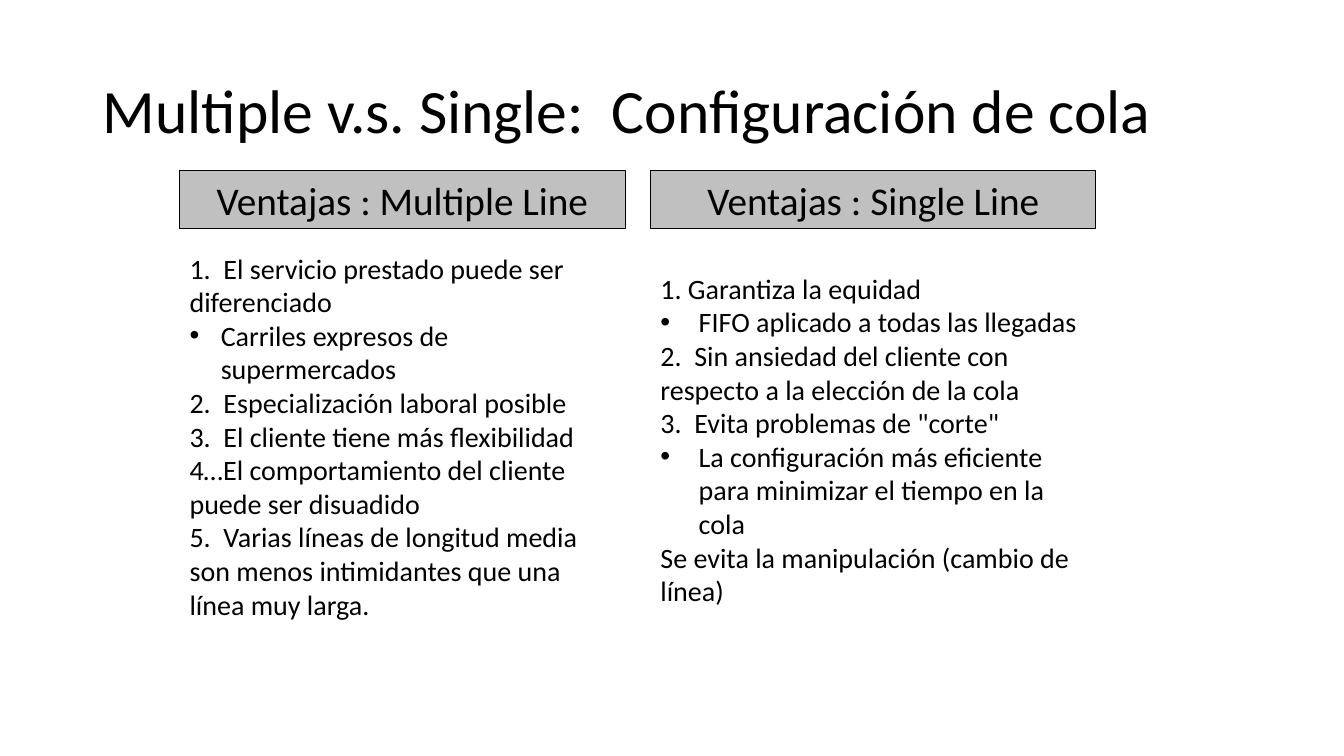
from dataclasses import dataclass

from lxml import etree
from pptx import Presentation
from pptx import util as u
from pptx.dml.color import RGBColor
from pptx.enum import shapes, text
from pptx.oxml.ns import qn

HUES = {"ink": "000000", "head": "C0C0C0"}
FONT = "Calibri"
WIDTH = 4.42


@dataclass
class Item:
    words: str
    dot: bool = False


@dataclass
class Column:
    left: float
    head: str
    top: float
    height: float
    indent: float
    items: list[Item]


COLUMNS = [
    Column(1.78, "Ventajas : Multiple Line", 2.44, 3.8, 0.31, [
        Item("1.  El servicio prestado puede ser diferenciado"),
        Item("Carriles expresos de supermercados", True),
        Item("2.  Especialización laboral posible"),
        Item("3.  El cliente tiene más flexibilidad"),
        Item("4…El comportamiento del cliente puede ser disuadido"),
        Item("5.  Varias líneas de longitud media son menos "
             "intimidantes que una línea muy larga."),
    ]),
    Column(6.45, "Ventajas : Single Line", 2.64, 3.47, 0.38, [
        Item("1. Garantiza la equidad"),
        Item("FIFO aplicado a todas las llegadas", True),
        Item("2.  Sin ansiedad del cliente con respecto a la elección de la cola"),
        Item('3.  Evita problemas de "corte"'),
        Item("La configuración más eficiente para minimizar el tiempo en la cola", True),
        Item("Se evita la manipulación (cambio de línea)"),
    ]),
]


def color(name: str) -> RGBColor:
    return RGBColor.from_string(HUES[name])


def place(shape, left: float, top: float, width: float, height: float) -> None:
    shape.left, shape.top = u.Inches(left), u.Inches(top)
    shape.width, shape.height = u.Inches(width), u.Inches(height)


def write(para, words: str, *, size: int, align=text.PP_ALIGN.LEFT,
          space: float = 1.0) -> None:
    para.alignment = align
    para.line_spacing = space
    para.space_before = para.space_after = u.Pt(0)
    run = para.add_run()
    run.text = words
    run.font.size = u.Pt(size)
    run.font.name = FONT
    run.font.color.rgb = color("ink")


def mark(para, dot: bool, indent: float) -> None:
    props = para._p.get_or_add_pPr()
    gap = u.Inches(indent) if dot else 0
    props.set("marL", str(gap))
    props.set("indent", str(-gap))
    if dot:
        etree.SubElement(props, qn("a:buFont")).set("typeface", "Arial")
        etree.SubElement(props, qn("a:buChar")).set("char", "•")
    else:
        etree.SubElement(props, qn("a:buNone"))


def banner(slide, col: Column) -> None:
    box = slide.shapes.add_shape(
        shapes.MSO_SHAPE.RECTANGLE, u.Inches(col.left), u.Inches(1.69),
        u.Inches(WIDTH), u.Inches(0.58))
    box.shadow.inherit = False
    box.fill.solid()
    box.fill.fore_color.rgb = color("head")
    box.line.color.rgb = color("ink")
    box.line.width = u.Pt(0.75)
    write(box.text_frame.paragraphs[0], col.head, size=28,
          align=text.PP_ALIGN.CENTER)


def fill(body, col: Column) -> None:
    place(body, col.left, col.top, WIDTH, col.height)
    frame = body.text_frame
    frame.word_wrap = True
    frame.auto_size = text.MSO_AUTO_SIZE.NONE
    frame.vertical_anchor = text.MSO_ANCHOR.TOP
    for i, item in enumerate(col.items):
        para = frame.add_paragraph() if i else frame.paragraphs[0]
        write(para, item.words, size=20)
        mark(para, item.dot, col.indent)


def main() -> None:
    deck = Presentation()
    deck.slide_width, deck.slide_height = u.Inches(13.33), u.Inches(7.5)
    slide = deck.slides.add_slide(deck.slide_layouts.get_by_name("Two Content"))
    title, *bodies = slide.placeholders
    place(title, 0.92, 0.4, 11.5, 1.45)
    title.text_frame.auto_size = text.MSO_AUTO_SIZE.NONE
    title.text_frame.vertical_anchor = text.MSO_ANCHOR.MIDDLE
    write(title.text_frame.paragraphs[0],
          "Multiple v.s. Single:  Configuración de cola", size=44, space=0.9)
    for col, body in zip(COLUMNS, bodies):
        banner(slide, col)
        fill(body, col)
    deck.save("out.pptx")


if __name__ == "__main__":
    main()
